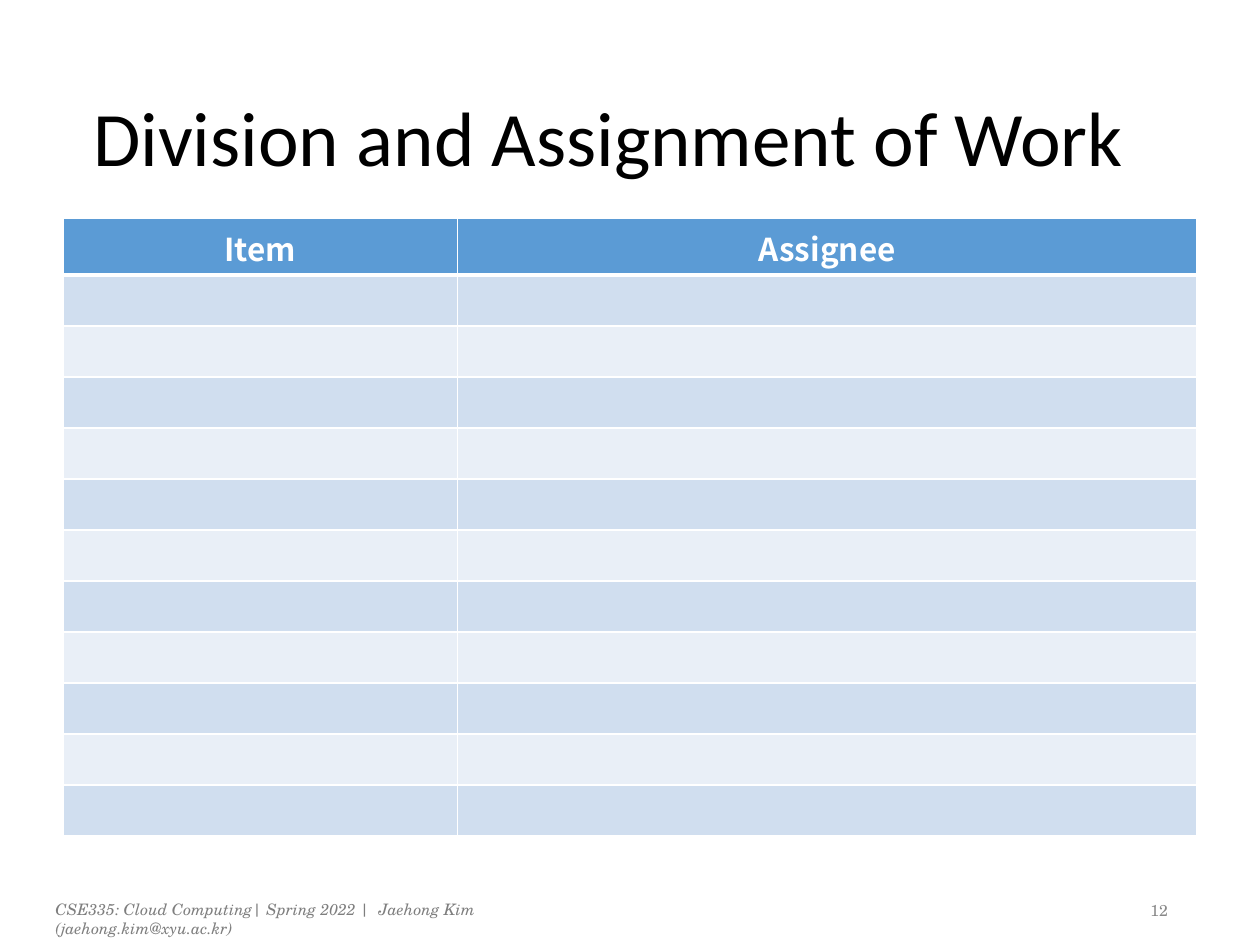
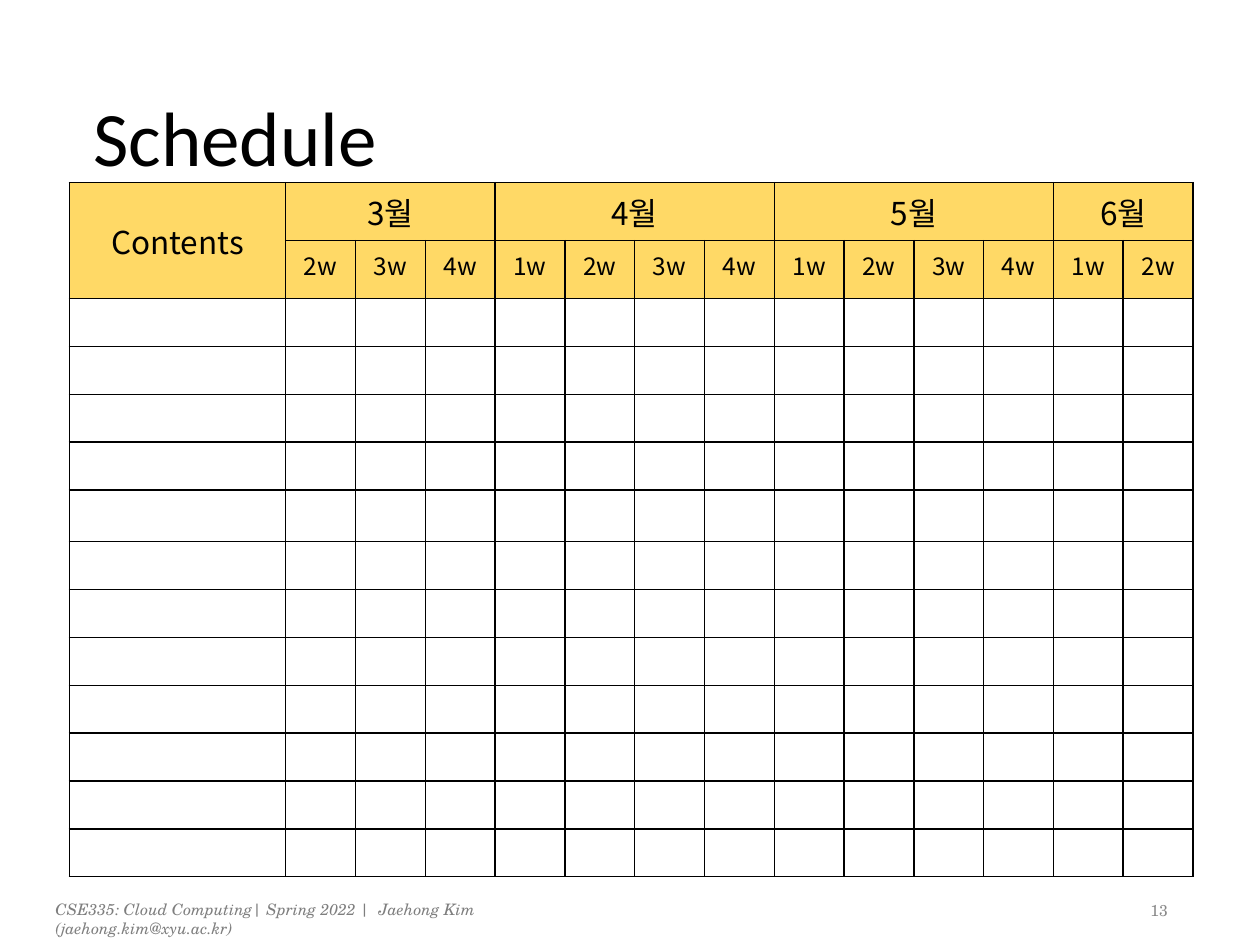
from dataclasses import dataclass
from itertools import chain

import lxml.etree
import pptx
import pptx.dml.color
import pptx.enum.text
import pptx.oxml.ns
import pptx.util

ALIGN = pptx.enum.text.PP_ALIGN
ANCHOR = pptx.enum.text.MSO_ANCHOR
RGBColor = pptx.dml.color.RGBColor

BLACK = RGBColor(0x00, 0x00, 0x00)
WHITE = RGBColor(0xFF, 0xFF, 0xFF)
BLUE = RGBColor(0x5B, 0x9B, 0xD5)
BAND_DARK = RGBColor(0xD0, 0xDE, 0xEF)
BAND_LIGHT = RGBColor(0xE9, 0xEF, 0xF7)
YELLOW = RGBColor(0xFF, 0xD9, 0x66)
FOOTER_GRAY = RGBColor(0x7E, 0x7E, 0x7E)
NUMBER_GRAY = RGBColor(0x88, 0x88, 0x88)

TITLE_FONT = "Calibri"
TABLE_FONT = "Noto Sans CJK KR"
FOOTER_FONT = "TeX Gyre Schola"

SLIDE_WIDTH = pptx.util.Inches(10)
SLIDE_HEIGHT = pptx.util.Inches(7.5)
INSET = pptx.util.Inches(0.05)
FOOTER = "CSE335: Cloud Computing| Spring 2022 |  Jaehong Kim (jaehong.kim@xyu.ac.kr)"
TITLE_ONLY = 5


@dataclass(frozen=True)
class Box:
    """A rectangle in percent of the slide's width and height."""
    left: float
    top: float
    width: float
    height: float

    def lengths(self) -> tuple[int, int, int, int]:
        return (
            round(SLIDE_WIDTH * self.left / 100),
            round(SLIDE_HEIGHT * self.top / 100),
            round(SLIDE_WIDTH * self.width / 100),
            round(SLIDE_HEIGHT * self.height / 100),
        )


@dataclass(frozen=True)
class Month:
    name: str
    weeks: range


TITLE_BOX = Box(6.9, 5.33, 86.2, 19.33)
FOOTER_BOX = Box(4.4, 95.2, 46.2, 2)
NUMBER_BOX = Box(90.8, 94.67, 2.4, 3.2)
WORK_BOX = Box(5, 23.1, 90, 65.4)
SCHEDULE_BOX = Box(5.5, 19.33, 89.2, 73.5)

WORK_COLUMNS = [8, 15]
WORK_ROWS = [10] + [9] * 11
MONTHS = [
    Month("3월", range(2, 5)),
    Month("4월", range(1, 5)),
    Month("5월", range(1, 5)),
    Month("6월", range(1, 3)),
]
SCHEDULE_COLUMNS = [3.1] + [1] * sum(len(month.weeks) for month in MONTHS)
SCHEDULE_ROWS = [46] * 2 + [38] * 4 + [41] + [38] * 7


def add_element(parent, tag: str, **attributes: str):
    return lxml.etree.SubElement(parent, pptx.oxml.ns.qn(tag), attributes)


def write_text(frame, text: str, *, font: str, size: float, color: RGBColor,
               bold: bool = False, italic: bool = False, align=ALIGN.LEFT,
               line_spacing: float = 1.0, inset: int = INSET) -> None:
    frame.margin_left = frame.margin_right = inset
    frame.margin_top = frame.margin_bottom = inset
    paragraph = frame.paragraphs[0]
    paragraph.alignment = align
    paragraph.line_spacing = line_spacing
    run = paragraph.add_run()
    run.text = text
    run.font.name = font
    run.font.size = pptx.util.Pt(size)
    run.font.bold = bold
    run.font.italic = italic
    run.font.color.rgb = color
    add_element(run.font._element, "a:ea", typeface=font)


def add_text_box(slide, box: Box, text: str, *, wrap: bool, anchor, **text_format) -> None:
    frame = slide.shapes.add_textbox(*box.lengths()).text_frame
    frame.word_wrap = wrap
    frame.vertical_anchor = anchor
    write_text(frame, text, **text_format)


def add_titled_slide(presentation, title: str, number: int):
    slide = presentation.slides.add_slide(presentation.slide_layouts[TITLE_ONLY])
    placeholder = slide.shapes.title
    (placeholder.left, placeholder.top,
     placeholder.width, placeholder.height) = TITLE_BOX.lengths()
    frame = placeholder.text_frame
    frame.auto_size = pptx.enum.text.MSO_AUTO_SIZE.NONE
    frame.vertical_anchor = ANCHOR.MIDDLE
    write_text(frame, title, font=TITLE_FONT, size=44, color=BLACK, line_spacing=0.9)
    add_text_box(slide, FOOTER_BOX, FOOTER, wrap=True, anchor=ANCHOR.TOP, inset=0,
                 font=FOOTER_FONT, size=9, color=FOOTER_GRAY, italic=True)
    add_text_box(slide, NUMBER_BOX, str(number), wrap=False, anchor=ANCHOR.MIDDLE,
                 font=FOOTER_FONT, size=9, color=NUMBER_GRAY, align=ALIGN.RIGHT)
    return slide


def add_borders(cell, color: RGBColor, top: float = 1, bottom: float = 1) -> None:
    """Add the four borders; this must come before the cell's fill is set."""
    properties = cell._tc.get_or_add_tcPr()
    for side, points in (("L", 1), ("R", 1), ("T", top), ("B", bottom)):
        line = add_element(properties, f"a:ln{side}", w=str(pptx.util.Pt(points)))
        add_element(add_element(line, "a:solidFill"), "a:srgbClr", val=str(color))


def fill_cell(cell, color: RGBColor) -> None:
    cell.fill.solid()
    cell.fill.fore_color.rgb = color


def add_grid(slide, box: Box, columns: list[float], rows: list[float]):
    """Add a plain table whose columns and rows share the box by weight."""
    left, top, width, height = box.lengths()
    table = slide.shapes.add_table(
        len(rows), len(columns), left, top, width, height).table
    table.first_row = table.horz_banding = False
    for column, weight in zip(table.columns, columns):
        column.width = round(width * weight / sum(columns))
    for row, weight in zip(table.rows, rows):
        row.height = round(height * weight / sum(rows))
    for cell in table.iter_cells():
        cell.margin_left = cell.margin_right = INSET
        cell.margin_top = cell.margin_bottom = INSET
        add_element(cell.text_frame.paragraphs[0]._p, "a:endParaRPr", sz="1400")
    return table


def write_header(cell, text: str, *, fill: RGBColor, size: float = 18,
                 color: RGBColor = BLACK, bold: bool = False, anchor=ANCHOR.TOP) -> None:
    fill_cell(cell, fill)
    cell.vertical_anchor = anchor
    write_text(cell.text_frame, text, font=TABLE_FONT, size=size, color=color,
               bold=bold, align=ALIGN.CENTER)


def add_work_table(slide) -> None:
    table = add_grid(slide, WORK_BOX, WORK_COLUMNS, WORK_ROWS)
    for row_index, row in enumerate(table.rows):
        for cell in row.cells:
            add_borders(cell, WHITE, top=3 if row_index == 1 else 1,
                        bottom=3 if row_index == 0 else 1)
            fill_cell(cell, BAND_DARK if row_index % 2 else BAND_LIGHT)
    for cell, text in zip(table.rows[0].cells, ("Item", "Assignee")):
        write_header(cell, text, fill=BLUE, color=WHITE, bold=True, anchor=ANCHOR.MIDDLE)


def add_schedule_table(slide) -> None:
    table = add_grid(slide, SCHEDULE_BOX, SCHEDULE_COLUMNS, SCHEDULE_ROWS)
    for cell in table.iter_cells():
        add_borders(cell, BLACK)
        cell.fill.background()
    for cell in chain(table.rows[0].cells, table.rows[1].cells):
        fill_cell(cell, YELLOW)

    contents = table.cell(0, 0)
    contents.merge(table.cell(1, 0))
    write_header(contents, "Contents", fill=YELLOW, anchor=ANCHOR.MIDDLE)
    first_column = 1
    for month in MONTHS:
        month_cell = table.cell(0, first_column)
        month_cell.merge(table.cell(0, first_column + len(month.weeks) - 1))
        write_header(month_cell, month.name, fill=YELLOW)
        for column, week in enumerate(month.weeks, first_column):
            write_header(table.cell(1, column), f"{week}w", fill=YELLOW, size=14)
        first_column += len(month.weeks)


def main() -> None:
    presentation = pptx.Presentation()
    presentation.slide_width = SLIDE_WIDTH
    presentation.slide_height = SLIDE_HEIGHT
    add_work_table(add_titled_slide(presentation, "Division and Assignment of Work", 12))
    add_schedule_table(add_titled_slide(presentation, "Schedule", 13))
    presentation.save("out.pptx")


if __name__ == "__main__":
    main()
